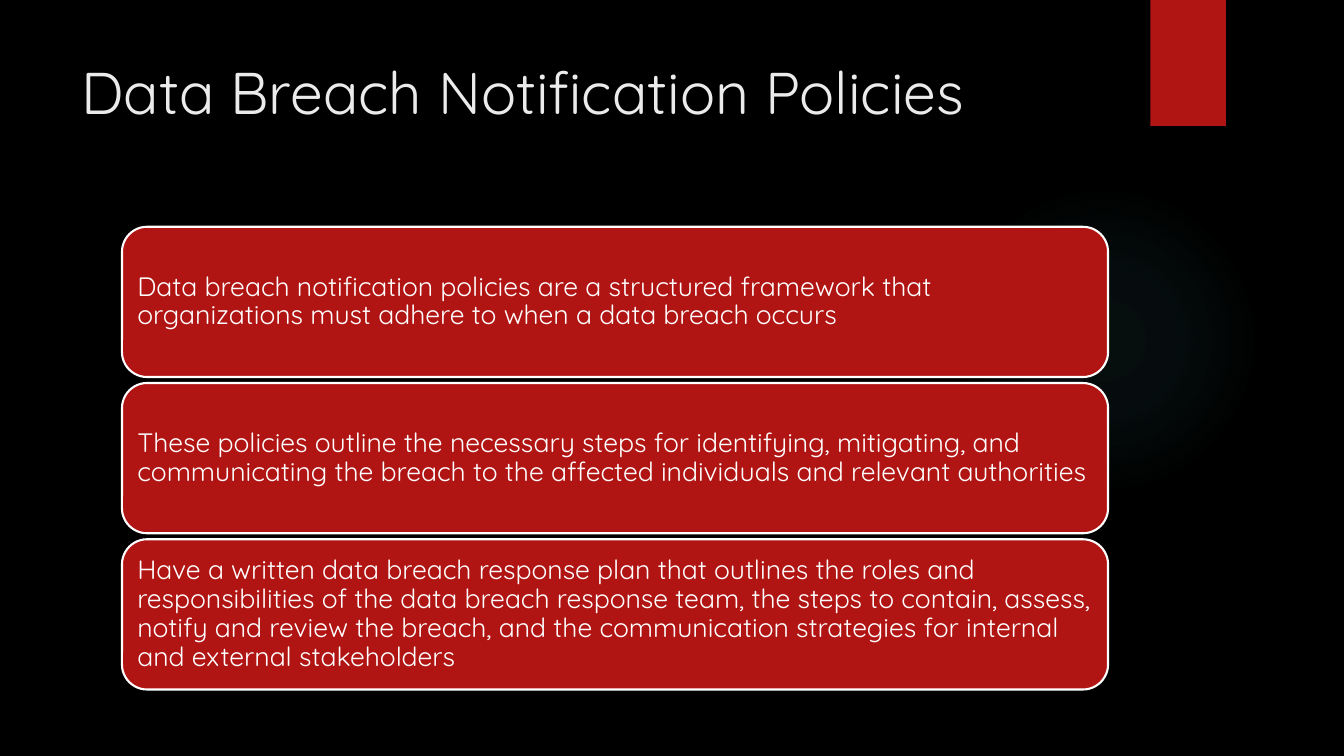
from lxml.etree import SubElement
from pptx import Presentation
from pptx.dml.color import RGBColor
from pptx.enum.shapes import MSO_SHAPE
from pptx.enum.text import MSO_ANCHOR, PP_ALIGN
from pptx.oxml.ns import qn
from pptx.util import Emu, Pt

EMU_PER_PX = 9144
FONT = "Quicksand"
BLACK = RGBColor(0x00, 0x00, 0x00)
RED = RGBColor(0xB0, 0x15, 0x13)
WHITE = RGBColor(0xFF, 0xFF, 0xFF)
TITLE_GREY = RGBColor(0xEB, 0xEB, 0xEB)
GLOW_TEAL = RGBColor(0x50, 0xB9, 0xC1)
GLOW_STOPS = [(0, 7), (36, 6), (69, 0)]

CARD_LEFT, CARD_TOP = 121, 225
CARD_WIDTH, CARD_HEIGHT = 978, 149
CARD_PITCH = 155
CARD_TEXTS = [
    "Data breach notification policies are a structured framework that "
    "organizations must adhere to when a data breach occurs",
    "These policies outline the necessary steps for identifying, mitigating, "
    "and communicating the breach to the affected individuals and relevant "
    "authorities",
    "Have a written data breach response plan that outlines the roles and "
    "responsibilities of the data breach response team, the steps to contain, "
    "assess, notify and review the breach, and the communication strategies "
    "for internal and external stakeholders",
]


def px(length):
    return Emu(length * EMU_PER_PX)


def add_plain_shape(page, kind, left, top, width, height, color):
    shape = page.shapes.add_shape(kind, px(left), px(top), px(width), px(height))
    shape.shadow.inherit = False
    shape.fill.solid()
    shape.fill.fore_color.rgb = color
    shape.line.fill.background()
    return shape


def add_span(para, text, size, color):
    span = para.add_run()
    span.text = text
    span.font.name = FONT
    span.font.size = Pt(size)
    span.font.color.rgb = color


def add_glow(page, left, top, diameter):
    glow = add_plain_shape(
        page, MSO_SHAPE.OVAL, left, top, diameter, diameter, GLOW_TEAL
    )
    properties = glow.fill._xPr
    solid = properties.find(qn("a:solidFill"))
    gradient = SubElement(properties, qn("a:gradFill"), rotWithShape="1")
    properties.replace(solid, gradient)
    stops = SubElement(gradient, qn("a:gsLst"))
    for position, opacity in GLOW_STOPS:
        stop = SubElement(stops, qn("a:gs"), pos=str(position * 1000))
        color = SubElement(stop, qn("a:srgbClr"), val=str(GLOW_TEAL))
        SubElement(color, qn("a:alpha"), val=str(opacity * 1000))
    circle = SubElement(gradient, qn("a:path"), path="circle")
    center = {side: "50000" for side in "ltrb"}
    SubElement(circle, qn("a:fillToRect"), center)


def add_title(page, text):
    box = page.shapes.add_textbox(px(71), px(50), px(1029), px(153))
    box.text_frame.word_wrap = True
    add_span(box.text_frame.paragraphs[0], text, 42, TITLE_GREY)


def add_card(page, top, text):
    card = add_plain_shape(
        page, MSO_SHAPE.ROUNDED_RECTANGLE,
        CARD_LEFT, top, CARD_WIDTH, CARD_HEIGHT, RED,
    )
    card.line.color.rgb = WHITE
    card.line.width = Pt(1.5)
    frame = card.text_frame
    frame.word_wrap = True
    frame.vertical_anchor = MSO_ANCHOR.MIDDLE
    frame.margin_left = frame.margin_right = px(8)
    frame.margin_top = frame.margin_bottom = px(8)
    para = frame.paragraphs[0]
    para.alignment = PP_ALIGN.LEFT
    para.line_spacing = 0.9
    add_span(para, text, 19, WHITE)


def main():
    deck = Presentation()
    deck.slide_width, deck.slide_height = px(1333), px(750)
    page = deck.slides.add_slide(deck.slide_layouts[6])
    page.background.fill.solid()
    page.background.fill.fore_color.rgb = BLACK

    add_glow(page, 941, 183, 308)
    add_plain_shape(page, MSO_SHAPE.RECTANGLE, 1141, 0, 75, 125, RED)
    add_title(page, "Data Breach Notification Policies")
    for row, text in enumerate(CARD_TEXTS):
        add_card(page, CARD_TOP + row * CARD_PITCH, text)

    deck.save("out.pptx")


if __name__ == "__main__":
    main()
